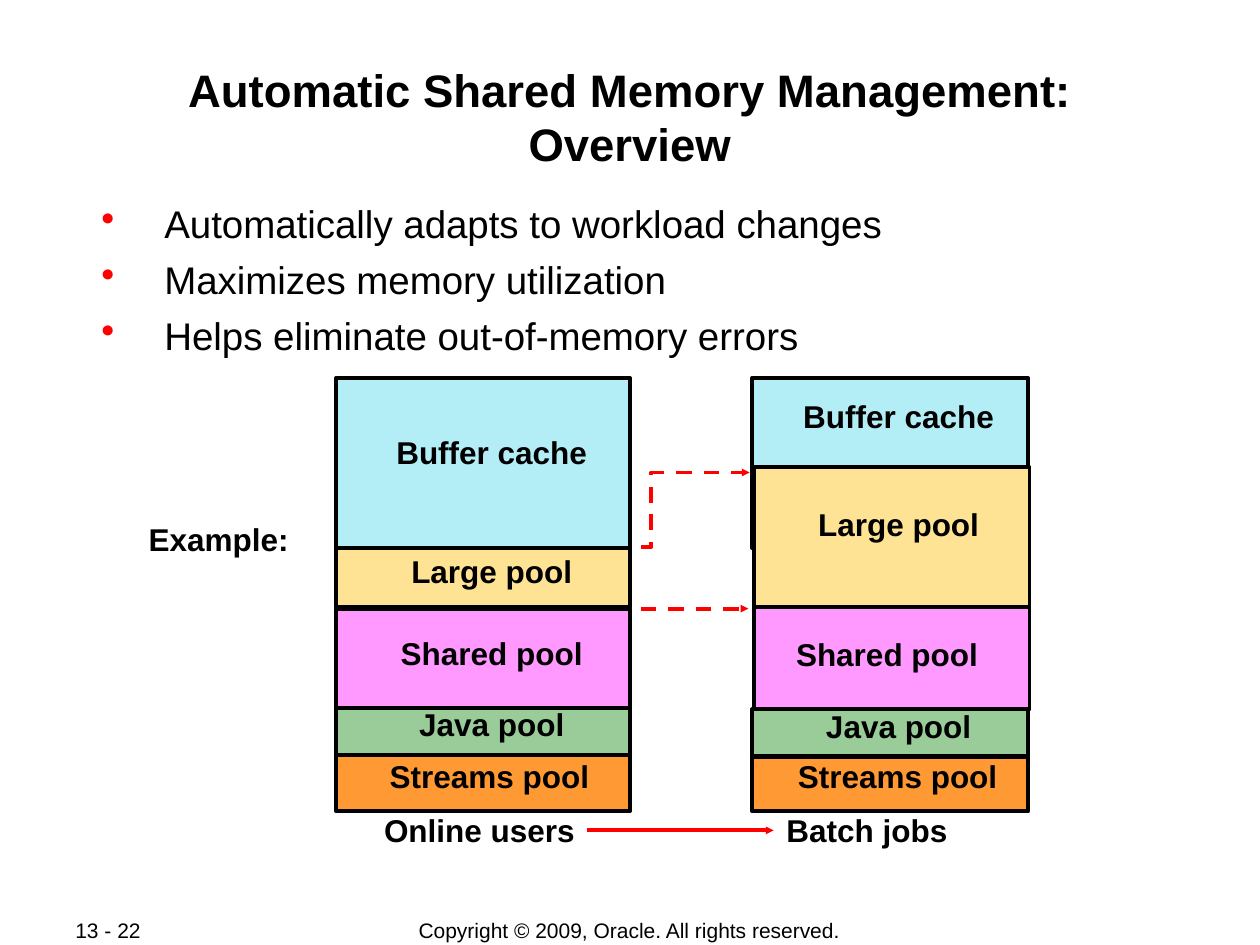
from lxml import etree
from pptx import Presentation
from pptx.dml.color import RGBColor
from pptx.enum.dml import MSO_LINE
from pptx.enum.shapes import MSO_CONNECTOR, MSO_SHAPE
from pptx.enum.text import MSO_ANCHOR, MSO_AUTO_SIZE, PP_ALIGN
from pptx.oxml.ns import qn
from pptx.util import Pt

RECT = MSO_SHAPE.RECTANGLE
LINE = MSO_CONNECTOR.STRAIGHT
DASH = MSO_LINE.DASH
TOP, MID = MSO_ANCHOR.TOP, MSO_ANCHOR.MIDDLE
LEFT, MIDDLE = PP_ALIGN.LEFT, PP_ALIGN.CENTER
GROW, FIXED = MSO_AUTO_SIZE.SHAPE_TO_FIT_TEXT, MSO_AUTO_SIZE.NONE
BLACK, RED = "000000", "FF0000"


def color(code):
    return RGBColor.from_string(code)


def add_bullet(para, mark, code):
    props = para._p.get_or_add_pPr()
    props.set("marL", str(Pt(45)))
    props.set("indent", str(Pt(-36)))
    tint = etree.SubElement(props, qn("a:buClr"))
    etree.SubElement(tint, qn("a:srgbClr")).set("val", code)
    etree.SubElement(props, qn("a:buChar")).set("char", mark)


def write(frame, text, size=18, bold=False, align=MIDDLE, anchor=TOP,
          inset=(7.2, 3.6), wrap=False, fit=FIXED, gap=0, bullet=None):
    """Fill a text frame, one paragraph for each line of text."""
    frame.auto_size = fit
    frame.word_wrap = wrap
    frame.vertical_anchor = anchor
    frame.margin_left = frame.margin_right = Pt(inset[0])
    frame.margin_top = frame.margin_bottom = Pt(inset[1])
    for i, line in enumerate(text.split("\n")):
        para = frame.add_paragraph() if i else frame.paragraphs[0]
        if bullet:
            add_bullet(para, bullet, RED)
        para.alignment = align
        para.space_before = Pt(gap if i else 0)
        run = para.add_run()
        run.text = line
        font = run.font
        font.name, font.size, font.bold = "Arial", Pt(size), bold
        font.color.rgb = color(BLACK)


class Page:
    """Line style and the slide being drawn."""
    weight = 2.25

    def __init__(self, slide):
        self.slide = slide
        self.shapes = slide.shapes

    def title(self, text, x, y, w, h):
        shape = self.shapes.title
        shape.left, shape.top = Pt(x), Pt(y)
        shape.width, shape.height = Pt(w), Pt(h)
        write(shape.text_frame, text, size=26, bold=True, wrap=True,
              inset=(0.72, 0.72))

    def text(self, text, x, y, w, h, **form):
        box = self.shapes.add_textbox(Pt(x), Pt(y), Pt(w), Pt(h))
        write(box.text_frame, text, **form)

    def label(self, text, mid, y, w):
        self.text(text, mid - w / 2, y, w, 28.8, bold=True, fit=GROW)

    def block(self, x, y, w, h, fill):
        shape = self.shapes.add_shape(RECT, Pt(x), Pt(y), Pt(w), Pt(h))
        shape.shadow.inherit = False
        shape.fill.solid()
        shape.fill.fore_color.rgb = color(fill)
        shape.line.color.rgb = color(BLACK)
        shape.line.width = Pt(self.weight)

    def style(self, line, dash):
        line.color.rgb = color(RED)
        line.width = Pt(self.weight)
        if dash:
            line.dash_style = dash
        tip = etree.SubElement(line._get_or_add_ln(), qn("a:tailEnd"))
        for key, value in (("type", "triangle"), ("w", "sm"), ("len", "sm")):
            tip.set(key, value)

    def arrow(self, x1, x2, y, dash=None):
        link = self.shapes.add_connector(LINE, Pt(x1), Pt(y), Pt(x2), Pt(y))
        self.style(link.line, dash)
        etree.SubElement(link._element.spPr, qn("a:effectLst"))

    def elbow(self, points, dash=None):
        start, *rest = [(Pt(x), Pt(y)) for x, y in points]
        pen = self.shapes.build_freeform(*start)
        pen.add_line_segments(rest, close=False)
        shape = pen.convert_to_shape()
        shape.shadow.inherit = False
        shape.fill.background()
        self.style(shape.line, dash)


# Pools: name, fill, label width
POOLS = [
    ("Buffer cache", "B3EDF5", 127),
    ("Large pool", "FFE395", 110),
    ("Shared pool", "FF99FF", 122),
    ("Java pool", "99CC99", 101),
    ("Streams pool", "FF9933", 132),
]
# Columns: width, then left, top, height, label middle, label top of each pool
ONLINE = (167.8, [
    (192.2, 216, 97.2, 281, 244.1),
    (192.2, 313.2, 33.8, 281, 311.8),
    (192.2, 347.8, 58.3, 281, 358.6),
    (192.2, 404.6, 26.6, 281, 399.6),
    (192.2, 431.3, 32.4, 279.7, 429.1),
])
BATCH = (157.7, [
    (429.8, 216, 97.2, 513.5, 223.2),
    (430.6, 267.1, 79.9, 513.5, 285.1),
    (430.6, 347, 58.3, 506.9, 359.3),
    (429.8, 405.4, 26.6, 513.5, 400.3),
    (429.8, 432.7, 31, 512.9, 429.1),
])


def main():
    deck = Presentation()
    deck.slide_width, deck.slide_height = Pt(720), Pt(540)
    page = Page(deck.slides.add_slide(deck.slide_layouts[5]))

    # Title and bullets
    page.title("Automatic Shared Memory Management: Overview",
               48.2, 34.6, 623.5, 69.1)
    page.text("Automatically adapts to workload changes\n"
              "Maximizes memory utilization\n"
              "Helps eliminate out-of-memory errors",
              48.2, 113.8, 623.5, 92.2, size=22, align=LEFT, wrap=True,
              inset=(0.72, 0.72), gap=5.5, bullet="•")

    # Arrows between the columns
    page.arrow(334.8, 427.7, 347.8, DASH)
    page.elbow([(334.8, 312.5), (372.2, 312.5), (372.2, 270), (428.4, 270)],
               DASH)

    # Memory columns
    for width, rows in (ONLINE, BATCH):
        for (name, fill, size), (x, y, h, mid, top) in zip(POOLS, rows):
            page.block(x, y, width, h, fill)
        for (name, fill, size), (x, y, h, mid, top) in zip(POOLS, rows):
            page.label(name, mid, top, size)

    # Captions
    page.label("Example:", 125, 293.8, 98)
    page.label("Online users", 274, 460.1, 127)
    page.label("Batch jobs", 495.4, 460.1, 110)
    page.arrow(335.5, 442.1, 474.5)

    # Footer
    page.text("13 - 22", 36, 524.2, 76.3, 14.4, size=12, align=LEFT,
              anchor=MID, wrap=True)
    page.text("Copyright © 2009, Oracle. All rights reserved.",
              198, 524.2, 323.3, 15.1, size=12, anchor=MID)

    deck.save("out.pptx")


if __name__ == "__main__":
    main()
